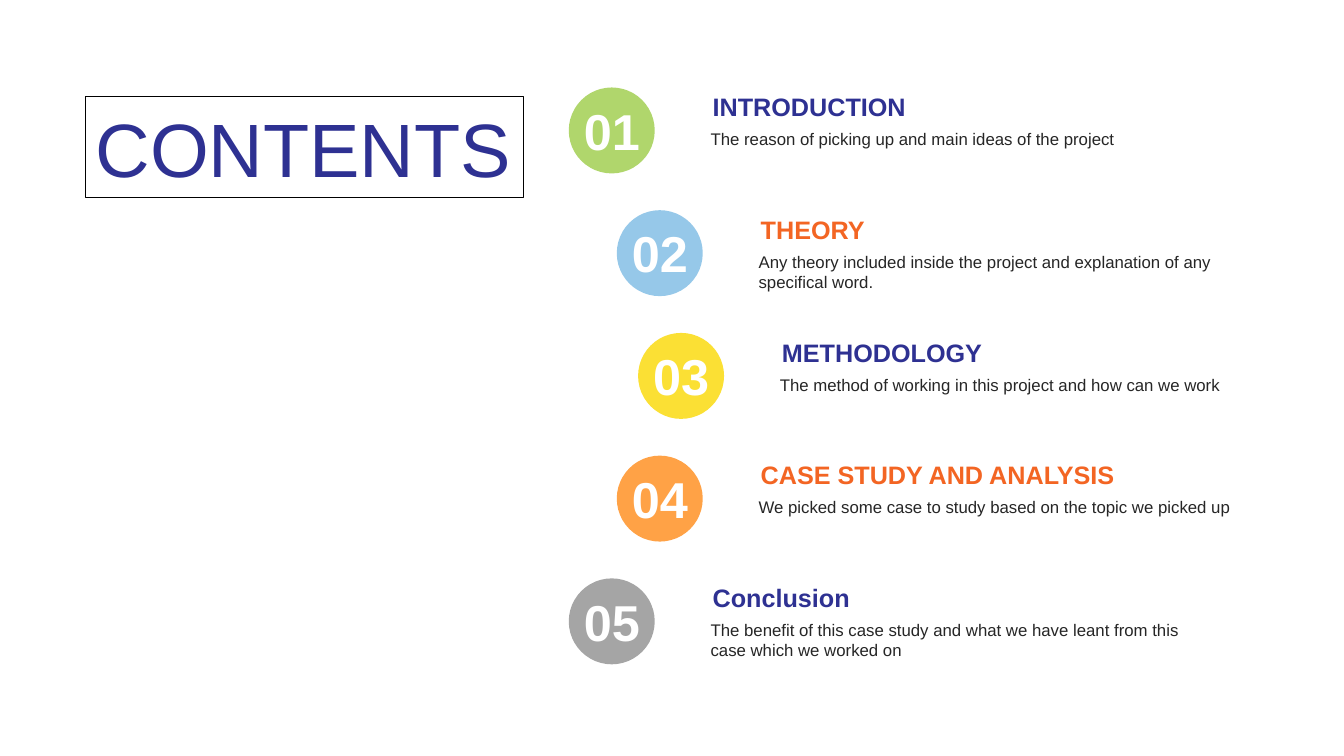
from dataclasses import dataclass

from pptx import Presentation
from pptx.dml.color import RGBColor
from pptx.enum.shapes import MSO_SHAPE
from pptx.enum.text import MSO_ANCHOR, MSO_AUTO_SIZE, PP_ALIGN
from pptx.shapes.base import BaseShape
from pptx.shapes.shapetree import GroupShapes
from pptx.slide import Slide
from pptx.util import Pt

NAVY = "2E3192"
ORANGE = "F36523"
CIRCLE_SIZE = 61.4
FIRST_TOP = 62.5
ROW_STEP = 87.66
TEXT_WIDTH = 355


@dataclass
class Section:
    title: str
    detail: str
    left: float
    circle_color: str
    title_color: str
    detail_height: float = 21.6


SECTIONS = [
    Section("INTRODUCTION", "The reason of picking up and main ideas of the project",
            406.3, "B0D66C", NAVY),
    Section("THEORY", "Any theory included inside the project and explanation of any "
            "specifical word.", 440.6, "96C8E9", ORANGE, 36),
    Section("METHODOLOGY", "The method of working in this project and how can we work",
            455.8, "FBE034", NAVY),
    Section("CASE STUDY AND ANALYSIS",
            "We picked some case to study based on the topic we picked up",
            440.6, "FFA246", ORANGE),
    Section("Conclusion", "The benefit of this case study and what we have leant from this "
            "case which we worked on", 406.3, "A5A5A5", NAVY, 36),
]


def rgb(value: str) -> RGBColor:
    return RGBColor.from_string(value)


def write(box: BaseShape, text: str, *, size: float, color: str, bold: bool = False,
          align: PP_ALIGN = PP_ALIGN.LEFT, anchor: MSO_ANCHOR = MSO_ANCHOR.TOP,
          side_inset: float = 7.2) -> None:
    frame = box.text_frame
    frame.word_wrap = True
    frame.auto_size = MSO_AUTO_SIZE.SHAPE_TO_FIT_TEXT
    frame.vertical_anchor = anchor
    frame.margin_left = frame.margin_right = Pt(side_inset)
    frame.margin_top = frame.margin_bottom = Pt(3.6)
    para = frame.paragraphs[0]
    para.alignment = align
    span = para.add_run()
    span.text = text
    span.font.name = "Arial"
    span.font.size = Pt(size)
    span.font.bold = bold
    span.font.color.rgb = rgb(color)


def add_text(shapes: GroupShapes, text: str, left: float, top: float, width: float,
             height: float, **text_format) -> None:
    box = shapes.add_textbox(Pt(left), Pt(top), Pt(width), Pt(height))
    write(box, text, **text_format)


def add_title(page: Slide) -> None:
    box = page.shapes.add_shape(MSO_SHAPE.RECTANGLE, Pt(61.2), Pt(68.6), Pt(312.5), Pt(72.7))
    box.shadow.inherit = False
    box.fill.background()
    box.line.color.rgb = rgb("000000")
    box.line.width = Pt(0.75)
    write(box, "CONTENTS", size=54, color=NAVY, anchor=MSO_ANCHOR.MIDDLE)


def add_section(page: Slide, number: int, section: Section) -> None:
    shapes = page.shapes.add_group_shape().shapes
    left = section.left
    top = FIRST_TOP + (number - 1) * ROW_STEP
    text_left = left + 94.2
    add_text(shapes, section.detail, text_left, top + 26, TEXT_WIDTH, section.detail_height,
             size=12, color="262626")
    add_text(shapes, section.title, text_left, top - 0.7, TEXT_WIDTH, 28.8,
             size=18, color=section.title_color, bold=True, side_inset=8.6)
    circle = shapes.add_shape(MSO_SHAPE.OVAL, Pt(left), Pt(top), Pt(CIRCLE_SIZE), Pt(CIRCLE_SIZE))
    circle.shadow.inherit = False
    circle.fill.solid()
    circle.fill.fore_color.rgb = rgb(section.circle_color)
    circle.line.fill.background()
    add_text(shapes, f"{number:02d}", left - 7, top + 5.2, 75.6, 51, size=36,
             color="FFFFFF", bold=True, align=PP_ALIGN.CENTER, side_inset=8.6)


def main() -> None:
    deck = Presentation()
    deck.slide_width, deck.slide_height = Pt(960), Pt(540)
    page = deck.slides.add_slide(deck.slide_layouts[6])
    add_title(page)
    for number, section in enumerate(SECTIONS, start=1):
        add_section(page, number, section)
    deck.save("out.pptx")


if __name__ == "__main__":
    main()
